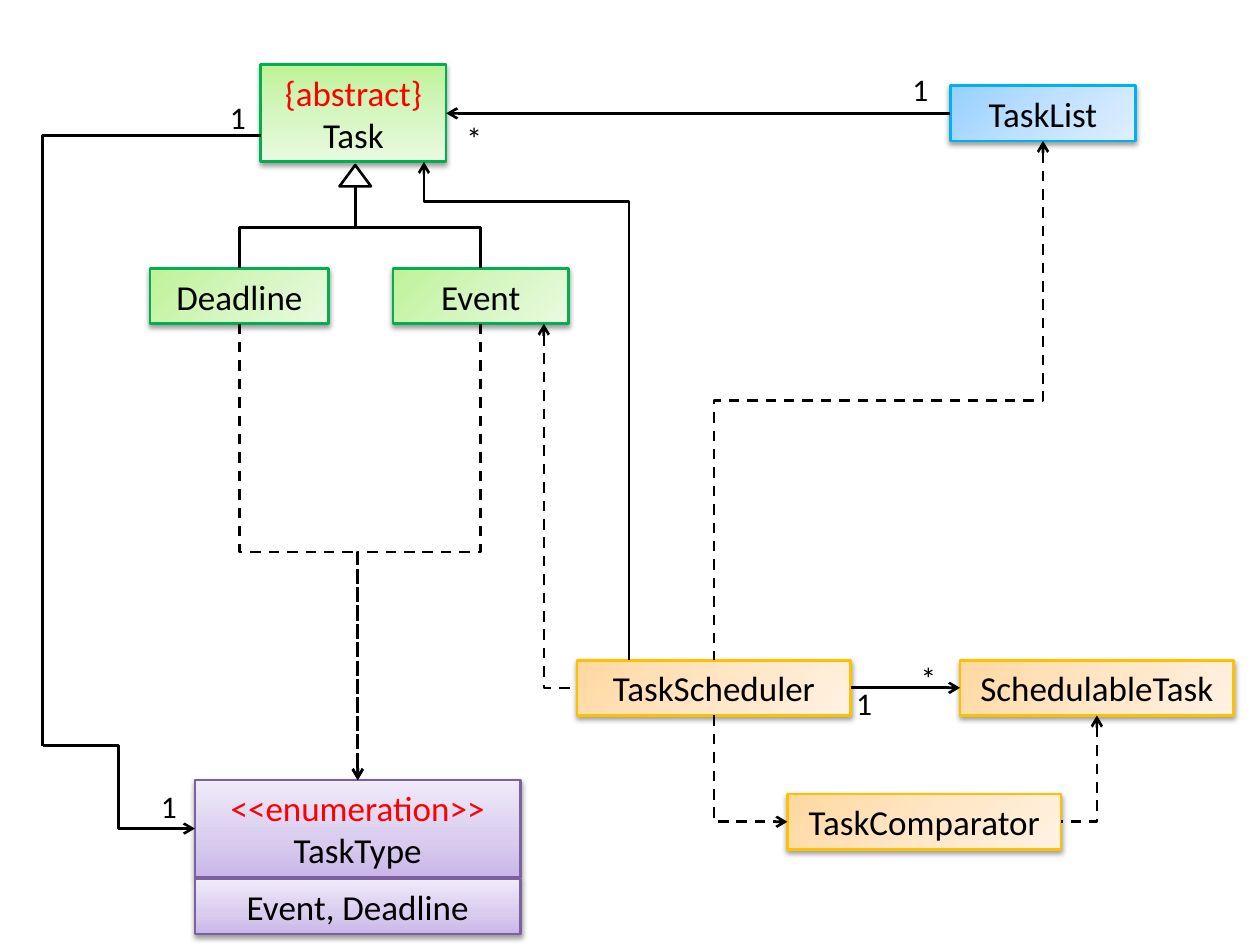
"""Build a class diagram of tasks, their scheduler and their types."""
import copy

import pptx
import pptx.dml.color
import pptx.enum.dml
import pptx.enum.shapes
import pptx.enum.text
import pptx.oxml
import pptx.oxml.ns
import pptx.util

Pt = pptx.util.Pt
RGBColor = pptx.dml.color.RGBColor
SHAPE = pptx.enum.shapes.MSO_SHAPE
CONNECTOR = pptx.enum.shapes.MSO_CONNECTOR
ALIGN = pptx.enum.text.PP_ALIGN
qn = pptx.oxml.ns.qn

BLACK = RGBColor(0, 0, 0)
WHITE = RGBColor(255, 255, 255)
RED = RGBColor(255, 0, 0)
FONT = "Calibri"
LINE_WIDTH = 1.5

THEMES = {
    "green": {"line": RGBColor(0x00, 0xB0, 0x50), "stops": [
        (0, RGBColor(0xBE, 0xF2, 0x97)), (0.5, RGBColor(0xD5, 0xF6, 0xC0)), (1, RGBColor(0xEA, 0xFA, 0xE0))]},
    "blue": {"line": RGBColor(0x00, 0xB0, 0xF0), "stops": [
        (0, RGBColor(0x96, 0xD0, 0xFF)), (0.5, RGBColor(0xBF, 0xE1, 0xFF)), (1, RGBColor(0xE0, 0xEF, 0xFF))]},
    "purple": {"line": RGBColor(0x7D, 0x60, 0xA0), "stops": [
        (0, RGBColor(0xC9, 0xB5, 0xE8)), (0.35, RGBColor(0xD8, 0xCB, 0xEE)), (1, RGBColor(0xF0, 0xEA, 0xF9))]},
    "orange": {"line": RGBColor(0xFF, 0xC0, 0x00), "stops": [
        (0, RGBColor(0xFF, 0xD8, 0xA0)), (0.5, RGBColor(0xFF, 0xE6, 0xC5)), (1, RGBColor(0xFF, 0xF2, 0xE3))]},
}

ROW = 31.5
TALL = 55.5
CLASSES = {
    "Task": ((149, 37, 106, TALL), "green", 270, ["{abstract}", "Task"]),
    "Deadline": ((85.7, 153.4, 102.2, ROW), "green", 315, ["Deadline"]),
    "Event": ((224.6, 153.4, 100.2, ROW), "green", 315, ["Event"]),
    "TaskList": ((543, 49, 106, ROW), "blue", 315, ["TaskList"]),
    "TaskScheduler": ((329.8, 377.3, 156.4, ROW), "orange", 315, ["TaskScheduler"]),
    "TaskComparator": ((450, 453.8, 156.4, ROW), "orange", 315, ["TaskComparator"]),
    "SchedulableTask": ((548.6, 377.3, 156.4, ROW), "orange", 315, ["SchedulableTask"]),
}
ENUMERATION = {
    "TaskType": ((111.4, 445.8, 186, TALL), "purple", 90, ["<<enumeration>>", "TaskType"]),
    "Values": ((111.4, 502.3, 186, ROW), "purple", 90, ["Event, Deadline"]),
}
BOXES = {name: entry[0] for name, entry in (CLASSES | ENUMERATION).items()}
BOXES["Triangle"] = (194, 94.3, 18, 12.2)
CORNER = (24.5, 426.2)

LABELS = [("*", 259.4, 64.3, 24), ("1", 514.2, 36.7, 24), ("1", 84.9, 446.4, 24),
          ("1", 124.3, 52.6, 24), ("*", 519, 372.8, 24), ("1", 482.2, 387.1, 17)]
LABEL_HEIGHT = 29

STRAIGHT = [(("TaskList", 0, 0.5), ("Task", 1, 0.5)),
            (("TaskScheduler", 1, 0.5), ("SchedulableTask", 0, 0.5))]

# start, end, first direction, bends, adjustment, dashed, arrow
BENT = [
    (("Deadline", 0.5, 0), ("Triangle", 0.5, 1), "down", 2, 0.5, False, None),
    (("Event", 0.5, 0), ("Triangle", 0.5, 1), "down", 2, 0.5, False, None),
    (("TaskType", 0, 0.5), CORNER, "across", 2, 0.5, False, "headEnd"),
    (CORNER, ("Task", 0, 0.73), "down", 1, None, False, None),
    (("TaskScheduler", 0.5, 1), ("TaskComparator", 0, 0.5), "down", 1, None, True, "tailEnd"),
    (("SchedulableTask", 0.5, 1), ("TaskComparator", 1, 0.5), "down", 1, None, True, "headEnd"),
    (("Deadline", 0.5, 1), ("TaskType", 0.5, 0), "down", 2, 0.5, True, "tailEnd"),
    (("Event", 0.5, 1), ("TaskType", 0.5, 0), "down", 2, 0.5, True, "tailEnd"),
    (("TaskList", 0.5, 1), ("TaskScheduler", 0.5, 0), "down", 2, 0.5, True, "headEnd"),
    (("Event", 0.86, 1), ("TaskScheduler", 0, 0.5), "down", 1, None, True, "headEnd"),
    (("Task", 0.88, 1), ("TaskScheduler", 0.19, 0), "down", 2, 0.08, False, "headEnd"),
]


def write_text(shape, lines, size, alignment):
    frame = shape.text_frame
    frame.word_wrap = True
    frame.auto_size = pptx.enum.text.MSO_AUTO_SIZE.SHAPE_TO_FIT_TEXT
    for index, line in enumerate(lines):
        paragraph = frame.paragraphs[0] if index == 0 else frame.add_paragraph()
        paragraph.alignment = alignment
        run = paragraph.add_run()
        run.text = line
        for attribute, value in {"name": FONT, "size": Pt(size)}.items():
            setattr(run.font, attribute, value)
        run.font.color.rgb = RED if line[0] in "{<" else BLACK


def add_class(shapes, box, theme, angle, lines):
    shape = shapes.add_shape(SHAPE.RECTANGLE, *map(Pt, box))
    shape.shadow.inherit = False
    shape.fill.gradient()
    shape.fill.gradient_angle = angle
    stop_list = shape.element.spPr.find(".//" + qn("a:gsLst"))
    stop_list.insert(1, copy.deepcopy(stop_list[0]))
    for stop, (position, color) in zip(shape.fill.gradient_stops, THEMES[theme]["stops"]):
        stop.position = position
        stop.color.rgb = color
    shape.line.color.rgb = THEMES[theme]["line"]
    shape.line.width = Pt(LINE_WIDTH)
    shadow = pptx.oxml.parse_xml(
        f'<a:outerShdw {pptx.oxml.ns.nsdecls("a")} blurRad="{Pt(3.1)}" dist="{Pt(1.6)}" dir="5400000" '
        'rotWithShape="0"><a:srgbClr val="000000"><a:alpha val="38000"/></a:srgbClr></a:outerShdw>')
    shape.element.spPr.find(qn("a:effectLst")).append(shadow)
    shape.text_frame.vertical_anchor = pptx.enum.text.MSO_ANCHOR.MIDDLE
    write_text(shape, lines, 20, ALIGN.CENTER)


def locate(end):
    if len(end) == 2:
        return end
    name, across, down = end
    left, top, width, height = BOXES[name]
    return left + across * width, top + down * height


def add_line(shapes, kind, start, end, dashed, arrow):
    connector = shapes.add_connector(kind, *map(Pt, (*start, *end)))
    connector.line.color.rgb = BLACK
    connector.line.width = Pt(LINE_WIDTH)
    if dashed:
        connector.line.dash_style = pptx.enum.dml.MSO_LINE.DASH
    properties = connector.element.spPr
    if arrow:
        properties.find(qn("a:ln")).makeelement(qn("a:" + arrow))
        pptx.oxml.ns.qn(f"a:{arrow}")
        tip = properties.makeelement(qn("a:" + arrow), {"type": "arrow"})
        properties.find(qn("a:ln")).append(tip)
    properties.append(properties.makeelement(qn("a:effectLst")))
    return connector


def add_bent(shapes, start, end, direction, bends, adjustment, dashed, arrow):
    (x1, y1), (x2, y2) = locate(start), locate(end)
    rotation = 0
    if direction == "down":
        rotation = 90 if y2 > y1 else 270
        middle_x, middle_y = (x1 + x2) / 2, (y1 + y2) / 2
        half_width, half_height = abs(y2 - y1) / 2, abs(x2 - x1) / 2
        if (x2 > x1) == (y2 > y1):
            half_height = -half_height
        x1, x2 = middle_x - half_width, middle_x + half_width
        y1, y2 = middle_y - half_height, middle_y + half_height
    connector = add_line(shapes, CONNECTOR.ELBOW, (x1, y1), (x2, y2), dashed, arrow)
    connector.rotation = rotation
    geometry = connector.element.spPr.find(qn("a:prstGeom"))
    geometry.set("prst", f"bentConnector{bends + 1}")
    if adjustment is not None:
        guide = {"name": "adj1", "fmla": f"val {round(adjustment * 100000)}"}
        values = geometry.find(qn("a:avLst"))
        values.append(values.makeelement(qn("a:gd"), guide))


presentation = pptx.Presentation()
presentation.slide_width, presentation.slide_height = Pt(720), Pt(540)
slide = presentation.slides.add_slide(presentation.slide_layouts[6])

for entry in CLASSES.values():
    add_class(slide.shapes, *entry)
group = slide.shapes.add_group_shape()
for entry in ENUMERATION.values():
    add_class(group.shapes, *entry)

triangle = slide.shapes.add_shape(SHAPE.ISOSCELES_TRIANGLE, *map(Pt, BOXES["Triangle"]))
triangle.shadow.inherit = False
triangle.fill.solid()
triangle.fill.fore_color.rgb = WHITE
triangle.line.color.rgb = BLACK
triangle.line.width = Pt(LINE_WIDTH)

for start, end in STRAIGHT:
    add_line(slide.shapes, CONNECTOR.STRAIGHT, locate(start), locate(end), False, "tailEnd")
for route in BENT:
    add_bent(slide.shapes, *route)
for text, left, top, width in LABELS:
    label = slide.shapes.add_textbox(*map(Pt, (left, top, width, LABEL_HEIGHT)))
    write_text(label, [text], 18, ALIGN.LEFT)

presentation.save("out.pptx")
